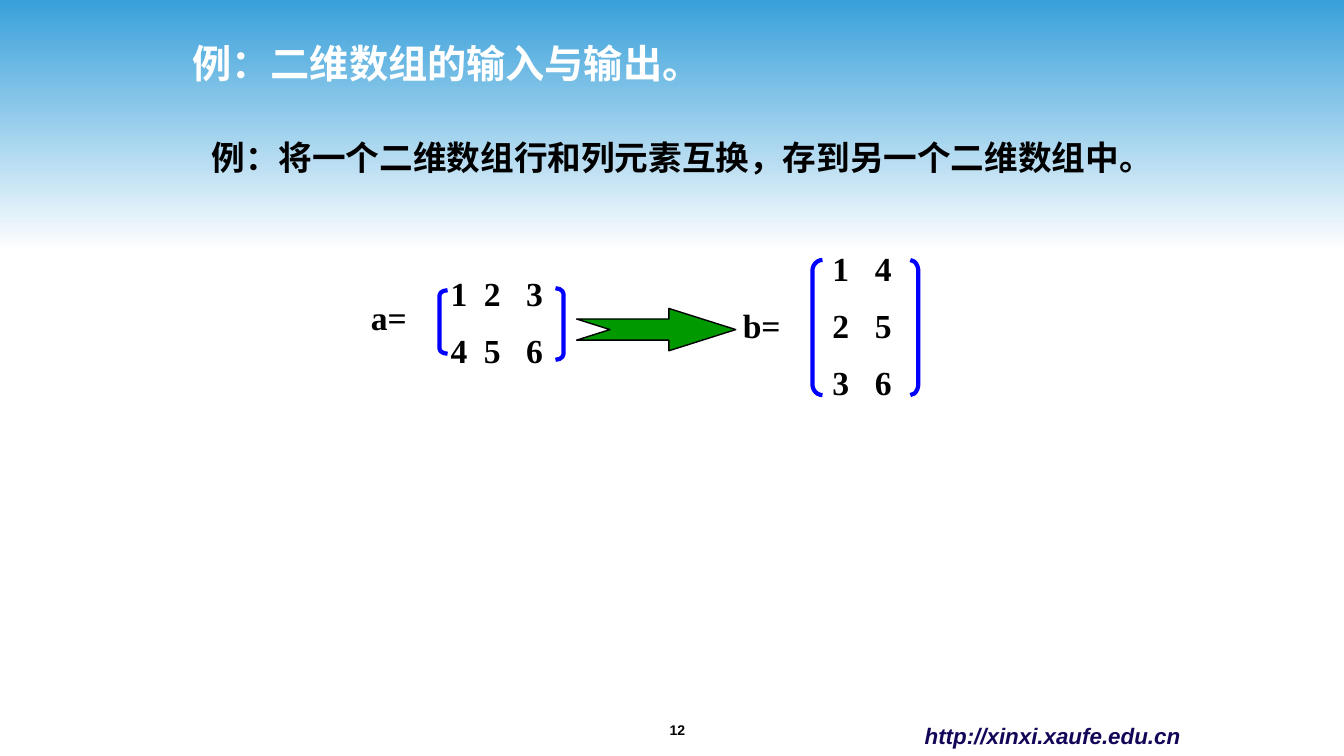
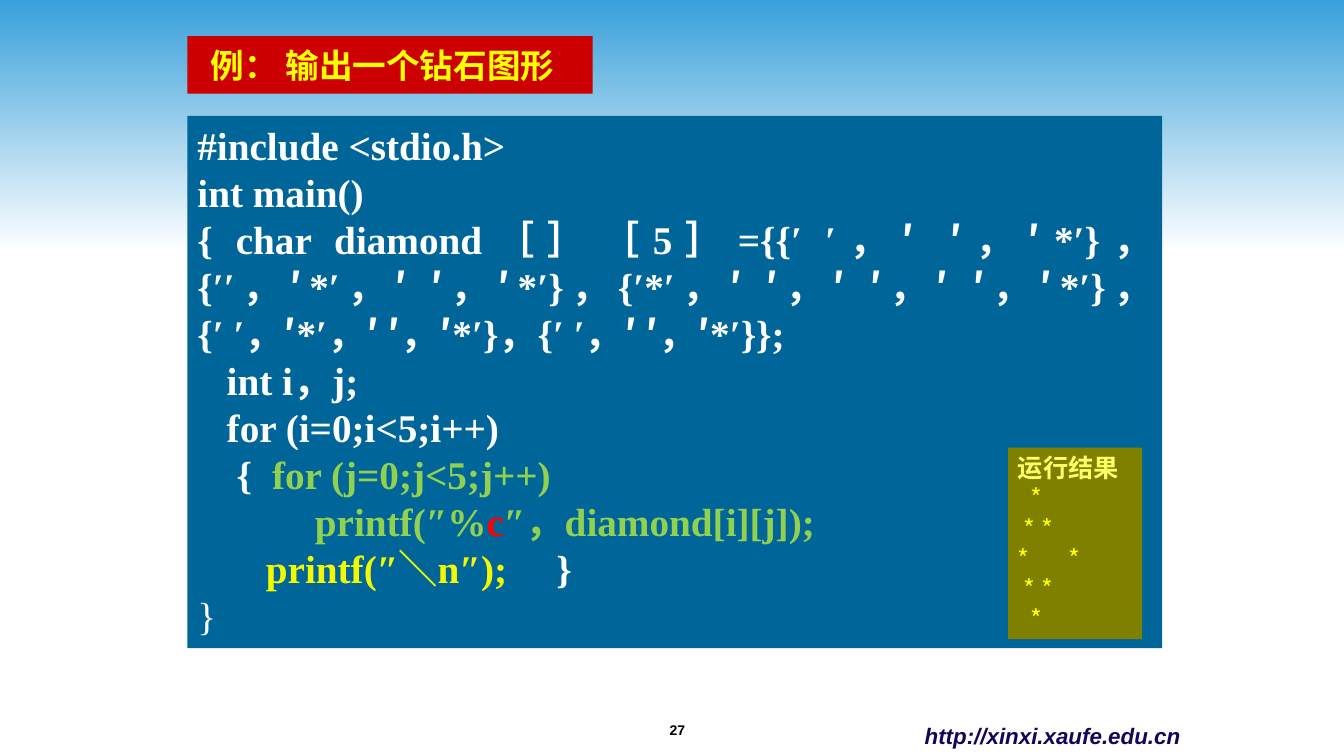
import pptx
import pptx.util
import pptx.dml.color
import pptx.enum.shapes
import pptx.enum.text
from dataclasses import dataclass
from lxml import etree

Pt, Inches = pptx.util.Pt, pptx.util.Inches
Rgb = pptx.dml.color.RGBColor.from_string
Align = pptx.enum.text.PP_ALIGN
Anchor = pptx.enum.text.MSO_ANCHOR
Kind = pptx.enum.shapes.MSO_SHAPE


@dataclass(frozen=True)
class Theme:
    sky: str = "38A0DA"
    white: str = "FFFFFF"
    black: str = "000000"
    navy: str = "130658"
    blue: str = "0000FF"
    green: str = "009900"
    lime: str = "92D050"
    red: str = "FF0000"
    crimson: str = "CC0000"
    teal: str = "006699"
    olive: str = "808000"
    yellow: str = "FFFF00"
    lemon: str = "F3F903"
    cream: str = "FFFF66"
    sans: str = "Arial"
    serif: str = "Times New Roman"
    han: str = "Noto Sans CJK SC"
    head: int = 28
    body: int = 24
    small: int = 18
    link: int = 16
    page: int = 10


look = Theme()
deck = pptx.Presentation()
deck.slide_width, deck.slide_height = Inches(13.33), Inches(7.5)


def area(left, top, wide, high):
    """Turn shares of the slide, in percent, into lengths."""
    col, row = deck.slide_width / 100, deck.slide_height / 100
    return [round(n) for n in (left * col, top * row, wide * col, high * row)]


def write(slide, place, lines, size=look.body, font=look.serif,
          color=look.black, bold=True, slant=False, align=Align.LEFT,
          anchor=Anchor.TOP, fill=None, lead=1.2, gap=0, tabs=(),
          steps=(), inset=0.1, wrap=True):
    """Add a text box; a line is a string or a list of (text, format) runs."""
    box = slide.shapes.add_textbox(*area(*place))
    if fill:
        box.fill.solid()
        box.fill.fore_color.rgb = Rgb(fill)
    frame = box.text_frame
    frame.word_wrap = wrap
    frame.vertical_anchor = anchor
    frame.margin_left = Inches(inset)
    for i, line in enumerate(lines):
        para = frame.paragraphs[0] if i == 0 else frame.add_paragraph()
        props = para._p.get_or_add_pPr()
        if steps:
            props.set("marL", str(Inches(steps[i])))
            props.set("indent", "0")
        if tabs:
            stops = etree.SubElement(props, pptx.oxml.ns.qn("a:tabLst"))
            for stop in tabs:
                etree.SubElement(stops, pptx.oxml.ns.qn("a:tab"),
                                 pos=str(Inches(stop)), algn="l")
        para.alignment = align
        para.line_spacing = Pt(size * lead)
        para.space_before = Pt(gap if i else 0)
        for words, style in [(line, {})] if isinstance(line, str) else line:
            run = para.add_run()
            run.text = words
            run.font.size = Pt(size)
            run.font.bold = style.get("bold", bold)
            run.font.italic = slant
            run.font.color.rgb = Rgb(style.get("color", color))
            run.font.name = font
            etree.SubElement(run._r.get_or_add_rPr(),
                             pptx.oxml.ns.qn("a:ea"), typeface=look.han)


# Shared band and footer
pages = []
for num in ("12", "27"):
    slide = deck.slides.add_slide(deck.slide_layouts[6])
    band = slide.shapes.add_shape(Kind.RECTANGLE, *area(0, 0, 100, 33.33))
    band.shadow.inherit = False
    band.line.fill.background()
    band.fill.gradient()
    band.fill.gradient_angle = 270
    for stop, tone in zip(band.fill.gradient_stops, (look.sky, look.white)):
        stop.color.rgb = Rgb(tone)
    write(slide, (45.82, 94.8, 9.15, 3.87), [num], size=look.page,
          font=look.sans, align=Align.CENTER)
    write(slide, (58.65, 94.8, 29.92, 5.2), ["http://xinxi.xaufe.edu.cn"],
          size=look.link, font=look.sans, color=look.navy, slant=True,
          align=Align.RIGHT)
    pages.append(slide)
swap, gem = pages

# Swapping rows and columns
write(swap, (13.58, 3.6, 43.73, 9.47), ["例：二维数组的输入与输出。"],
      size=look.head, font=look.sans, color=look.white, anchor=Anchor.MIDDLE)
write(swap, (15, 18.53, 72.53, 5.6),
      ["例：将一个二维数组行和列元素互换，存到另一个二维数组中。"],
      lead=0.96, wrap=False)
for place, rows, tabs in (
        ((32.78, 35.47, 10.05, 14.8), ("123", "456"), (0.33, 0.75)),
        ((61.2, 32.13, 11.03, 22.93), ("14", "25", "36"), (0.42,))):
    write(swap, place, ["\t".join(row) for row in rows], gap=12, tabs=tabs)
write(swap, (26.85, 38.67, 5.63, 6.67), ["a="])
write(swap, (54.53, 39.73, 5.33, 6.67), ["b="])

for kind, place, bends, fill, edge, width in (
        (Kind.LEFT_BRACKET, (32.7, 38.4, 0.6, 8.4), [0.63],
         None, look.blue, 3),
        (Kind.RIGHT_BRACKET, (41.33, 38.13, 0.6, 9.47), [0.74],
         None, look.blue, 3),
        (Kind.LEFT_BRACKET, (60.45, 34.4, 0.75, 17.87), [1.07],
         None, look.blue, 3),
        (Kind.RIGHT_BRACKET, (67.73, 34.4, 0.6, 17.87), [1.43],
         None, look.blue, 3),
        (Kind.NOTCHED_RIGHT_ARROW, (42.9, 40.8, 11.85, 5.6), [0.5, 1.58],
         look.green, look.black, 1)):
    mark = swap.shapes.add_shape(kind, *area(*place))
    mark.shadow.inherit = False
    for i, bend in enumerate(bends):
        mark.adjustments[i] = bend
    if fill:
        mark.fill.solid()
        mark.fill.fore_color.rgb = Rgb(fill)
    else:
        mark.fill.background()
    mark.line.color.rgb = Rgb(edge)
    mark.line.width = Pt(width)

# Printing a diamond
write(gem, (13.95, 4.8, 30.15, 7.6), ["例： 输出一个钻石图形"],
      font=look.han, color=look.yellow, fill=look.crimson,
      anchor=Anchor.MIDDLE, inset=0.23)
lime = {"color": look.lime}
code = [
    "#include <stdio.h>",
    "int main()",
    "{ char diamond［］［5］={{′ ′，′ ′，′*′}，{′′，′*′，′ ′，′*′}，"
    "{′*′，′ ′，′ ′，′ ′，′*′}，{′ ′，′*′，′ ′，′*′}，{′ ′，′ ′，′*′}};",
    "   int i，j;",
    "   for (i=0;i<5;i++)",
    [("    {\t", {}), ("for (j=0;j<5;j++)", lime)],
    [("            printf(″%", lime), ("c", {"color": look.red}),
     ("″，diamond[i][j]);", lime)],
    [("       printf(″＼n″);", {"color": look.lemon}), ("\t}", {})],
    [("}", {"bold": False})],
]
write(gem, (13.95, 15.33, 72.53, 70.4), code, size=look.head,
      color=look.white, fill=look.teal, align=Align.JUSTIFY,
      tabs=(0.74, 3.56))
stars = [[(row, {"color": look.yellow, "bold": False})]
         for row in ("*", "* *", "*\t*", "* *", "*")]
write(gem, (75, 59.2, 9.98, 25.33), ["运行结果"] + stars, size=look.small,
      font=look.han, color=look.cream, fill=look.olive, tabs=(0.29,),
      steps=(0, 0.12, 0.06, 0, 0.06, 0.12))

deck.save("out.pptx")
